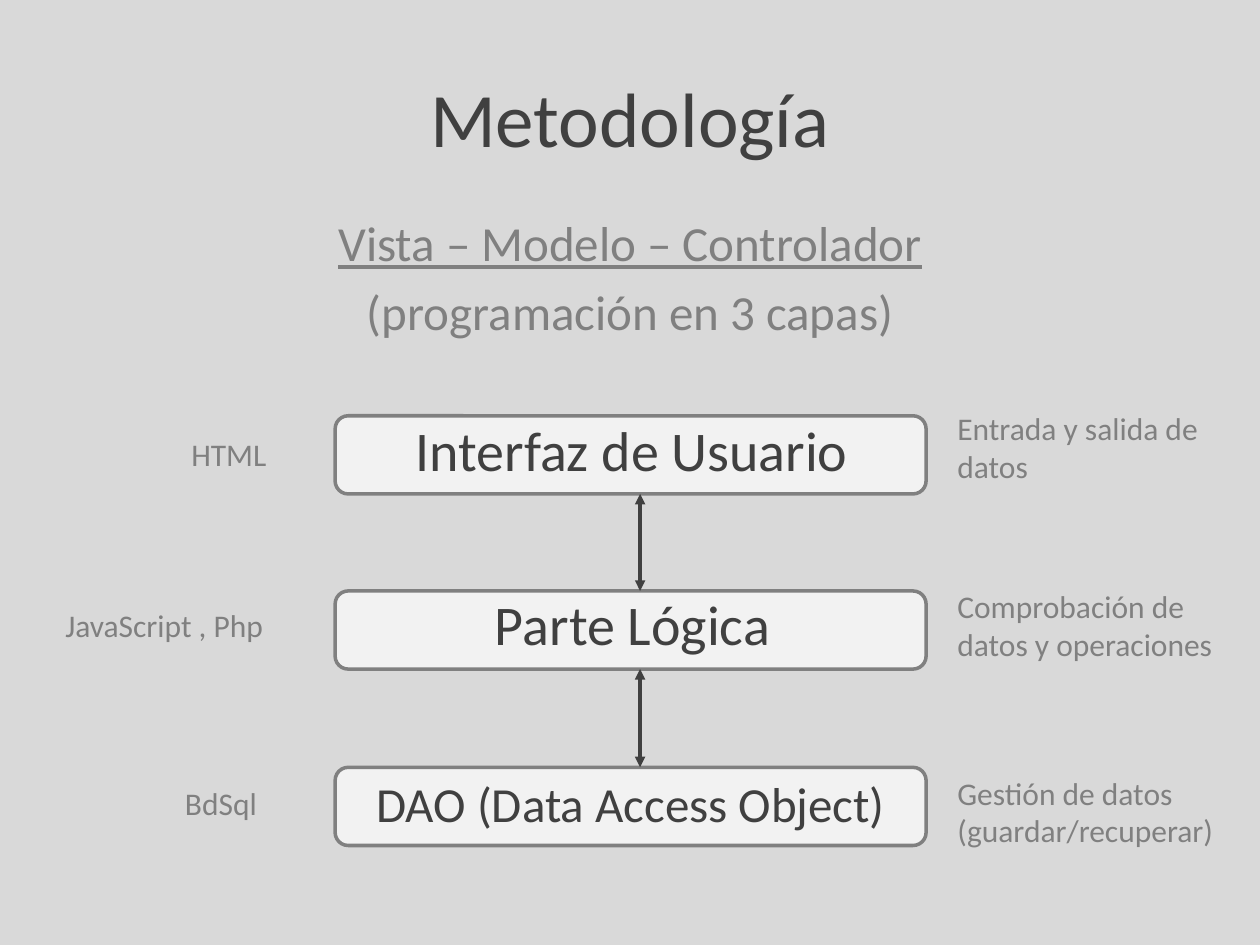
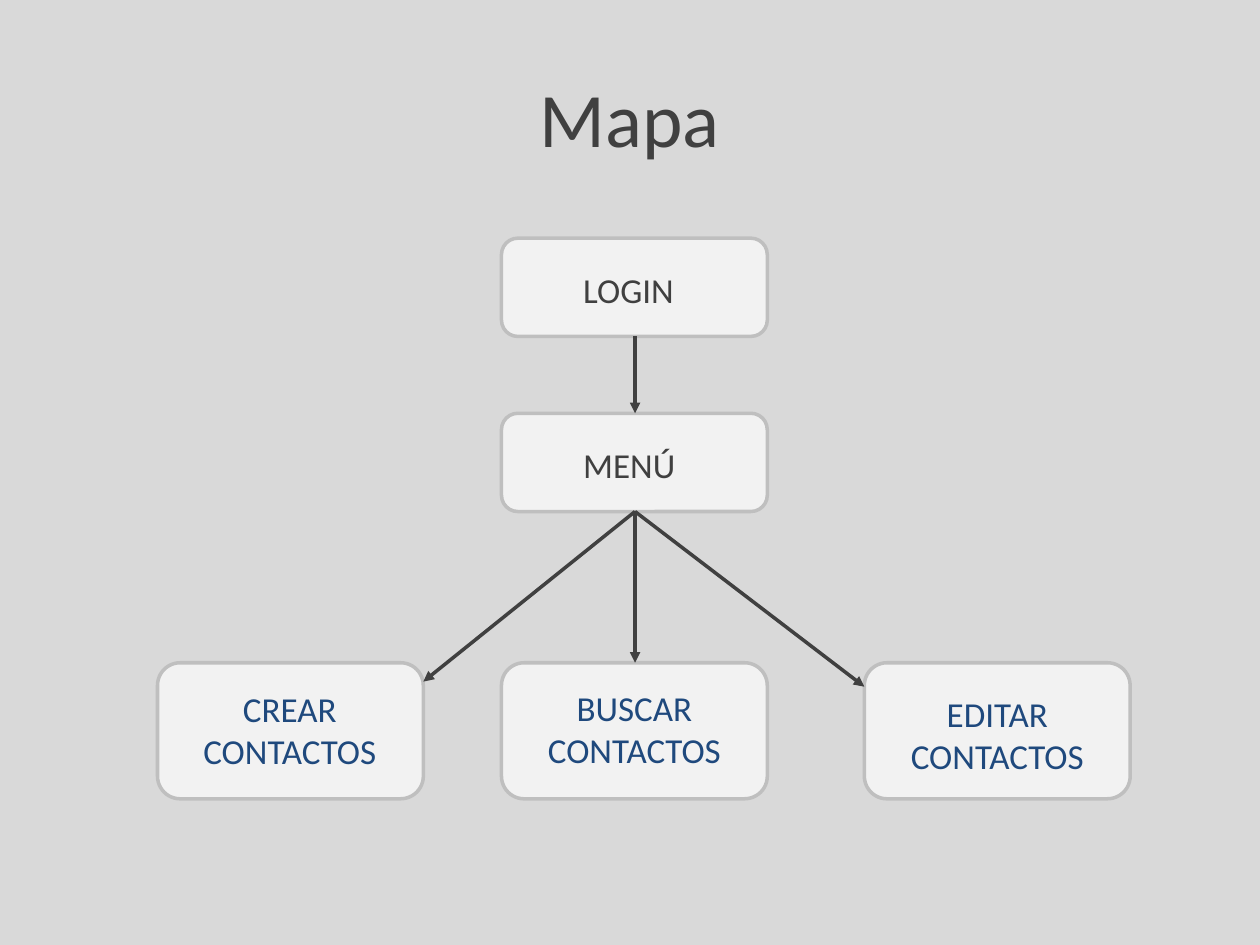
from dataclasses import dataclass

from lxml import etree
from pptx import Presentation
from pptx.dml.color import RGBColor
from pptx.enum.shapes import MSO_CONNECTOR, MSO_SHAPE
from pptx.enum.text import MSO_ANCHOR, MSO_AUTO_SIZE, PP_ALIGN
from pptx.oxml.ns import qn
from pptx.util import Emu, Pt

ROUNDED = MSO_SHAPE.ROUNDED_RECTANGLE
STRAIGHT = MSO_CONNECTOR.STRAIGHT
MIDDLE = MSO_ANCHOR.MIDDLE
FIXED, GROW = MSO_AUTO_SIZE.NONE, MSO_AUTO_SIZE.SHAPE_TO_FIT_TEXT
LEFT, CENTER = PP_ALIGN.LEFT, PP_ALIGN.CENTER

# Shared look: 100 px to the inch
EMU_PER_PX = 9144
FONT = "Calibri"
BACKGROUND, PANEL = "D9D9D9", "F2F2F2"
DARK, GRAY, SILVER, NAVY = "404040", "808080", "BFBFBF", "1F497D"
LINE_WIDTH = Pt(2)
TITLE_LAYOUT, BODY_LAYOUT = 5, 1


@dataclass(frozen=True)
class Box:
    left: int
    top: int
    width: int
    height: int

    @property
    def center(self) -> int:
        return self.left + self.width // 2

    @property
    def bottom(self) -> int:
        return self.top + self.height


@dataclass(frozen=True)
class Label:
    text: str
    box: Box
    size: int
    color: str
    align: PP_ALIGN = LEFT


@dataclass(frozen=True)
class Arrow:
    start: tuple[int, int]
    end: tuple[int, int]
    two_way: bool = False


def px(length: int) -> Emu:
    return Emu(length * EMU_PER_PX)


def rgb(color: str) -> RGBColor:
    return RGBColor.from_string(color)


def frame(box: Box) -> tuple[Emu, ...]:
    return px(box.left), px(box.top), px(box.width), px(box.height)


def place(shape, box: Box) -> None:
    shape.left, shape.top, shape.width, shape.height = frame(box)


def add_span(para, text: str, size: int, color: str, underline: bool = False) -> None:
    span = para.add_run()
    span.text = text
    span.font.name = FONT
    span.font.size = Pt(size)
    span.font.color.rgb = rgb(color)
    if underline:
        span.font.underline = True


def add_page(deck, layout: int, title: str):
    page = deck.slides.add_slide(deck.slide_layouts[layout])
    heading = page.shapes.title
    place(heading, Box(50, 30, 900, 125))
    heading.text_frame.vertical_anchor = MIDDLE
    heading.text_frame.auto_size = FIXED
    para = heading.text_frame.paragraphs[0]
    para.alignment = CENTER
    add_span(para, title, 44, DARK)
    return page


def add_panel(page, box: Box, border: str) -> None:
    panel = page.shapes.add_shape(ROUNDED, *frame(box))
    panel.shadow.inherit = False
    panel.fill.solid()
    panel.fill.fore_color.rgb = rgb(PANEL)
    panel.line.color.rgb = rgb(border)
    panel.line.width = LINE_WIDTH


def add_label(page, label: Label) -> None:
    text = page.shapes.add_textbox(*frame(label.box)).text_frame
    text.word_wrap = True
    text.auto_size = GROW
    para = text.paragraphs[0]
    para.alignment = label.align
    add_span(para, label.text, label.size, label.color)


def add_arrow(page, arrow: Arrow) -> None:
    ends = (px(length) for length in arrow.start + arrow.end)
    connector = page.shapes.add_connector(STRAIGHT, *ends)
    connector.line.color.rgb = rgb(DARK)
    connector.line.width = LINE_WIDTH
    properties = connector._element.spPr
    outline = properties.find(qn("a:ln"))
    for tag in ("a:headEnd", "a:tailEnd") if arrow.two_way else ("a:tailEnd",):
        etree.SubElement(outline, qn(tag)).set("type", "triangle")
    etree.SubElement(properties, qn("a:effectLst"))


def add_subtitle(page) -> None:
    body = page.placeholders[1]
    place(body, Box(50, 109, 900, 586))
    text = body.text_frame
    text.auto_size = FIXED
    text.margin_top = px(60)
    lines = (("Vista – Modelo – Controlador", True), ("(programación en 3 capas)", False))
    for index, (line, underline) in enumerate(lines):
        para = text.add_paragraph() if index else text.paragraphs[0]
        para.alignment = CENTER
        para.space_before = Pt(5.6 if index else 0)
        settings = para._p.get_or_add_pPr()
        settings.set("marL", "0")
        settings.set("indent", "0")
        etree.SubElement(settings, qn("a:buNone"))
        add_span(para, line, 28, GRAY, underline)


def build_method(deck) -> None:
    page = add_page(deck, BODY_LAYOUT, "Metodología")
    add_subtitle(page)

    # Three layers, evenly spaced
    layers = [Box(266, 330 + 279 * row // 2, 469, 62) for row in range(3)]
    for layer in layers:
        add_panel(page, layer, GRAY)
    for upper, lower in zip(layers, layers[1:]):
        add_arrow(page, Arrow((508, upper.bottom), (508, lower.top), two_way=True))

    # Layer names, technologies on the left, duties on the right
    labels = (
        Label("Interfaz de Usuario", Box(320, 325, 367, 64), 32, DARK),
        Label("Parte Lógica", Box(383, 463, 242, 64), 32, DARK),
        Label("DAO (Data Access Object)", Box(289, 609, 500, 57), 28, DARK),
        Label("HTML", Box(142, 340, 84, 40), 18, GRAY),
        Label("JavaScript , Php", Box(42, 476, 184, 40), 18, GRAY),
        Label("BdSql", Box(137, 617, 83, 40), 18, GRAY),
        Label("Entrada y salida de datos", Box(750, 320, 227, 71), 18, GRAY),
        Label("Comprobación de datos y operaciones", Box(750, 461, 250, 71), 18, GRAY),
        Label("Gestión de datos (guardar/recuperar)", Box(750, 609, 238, 71), 18, GRAY),
    )
    for label in labels:
        add_label(page, label)


def build_map(deck) -> None:
    page = add_page(deck, TITLE_LAYOUT, "Mapa")

    # Screens
    login, menu = (Box(398, top, 211, 78) for top in (189, 328))
    create, search, edit = (Box(left, 526, 211, 108) for left in (125, 398, 686))
    for screen in (login, menu, create, search, edit):
        add_panel(page, screen, SILVER)

    labels = (
        Label("LOGIN", Box(453, 208, 102, 44), 20, DARK),
        Label("MENÚ", Box(453, 347, 102, 44), 20, DARK),
        Label("CREAR CONTACTOS", Box(146, 541, 168, 77), 20, NAVY, CENTER),
        Label("BUSCAR CONTACTOS", Box(413, 540, 181, 77), 20, NAVY, CENTER),
        Label("EDITAR CONTACTOS", Box(694, 545, 195, 77), 20, NAVY, CENTER),
    )
    for label in labels:
        add_label(page, label)

    # Paths between screens
    fork = (menu.center + 1, menu.bottom)
    arrows = (
        Arrow((fork[0], login.bottom), (fork[0], menu.top)),
        Arrow(fork, (edit.left, 545)),
        Arrow(fork, (fork[0], search.top)),
        Arrow(fork, (create.left + create.width, 541)),
    )
    for arrow in arrows:
        add_arrow(page, arrow)


def main() -> None:
    deck = Presentation()
    deck.slide_width, deck.slide_height = px(1000), px(750)
    backdrop = deck.slide_master.background.fill
    backdrop.solid()
    backdrop.fore_color.rgb = rgb(BACKGROUND)
    build_method(deck)
    build_map(deck)
    deck.save("out.pptx")


if __name__ == "__main__":
    main()
